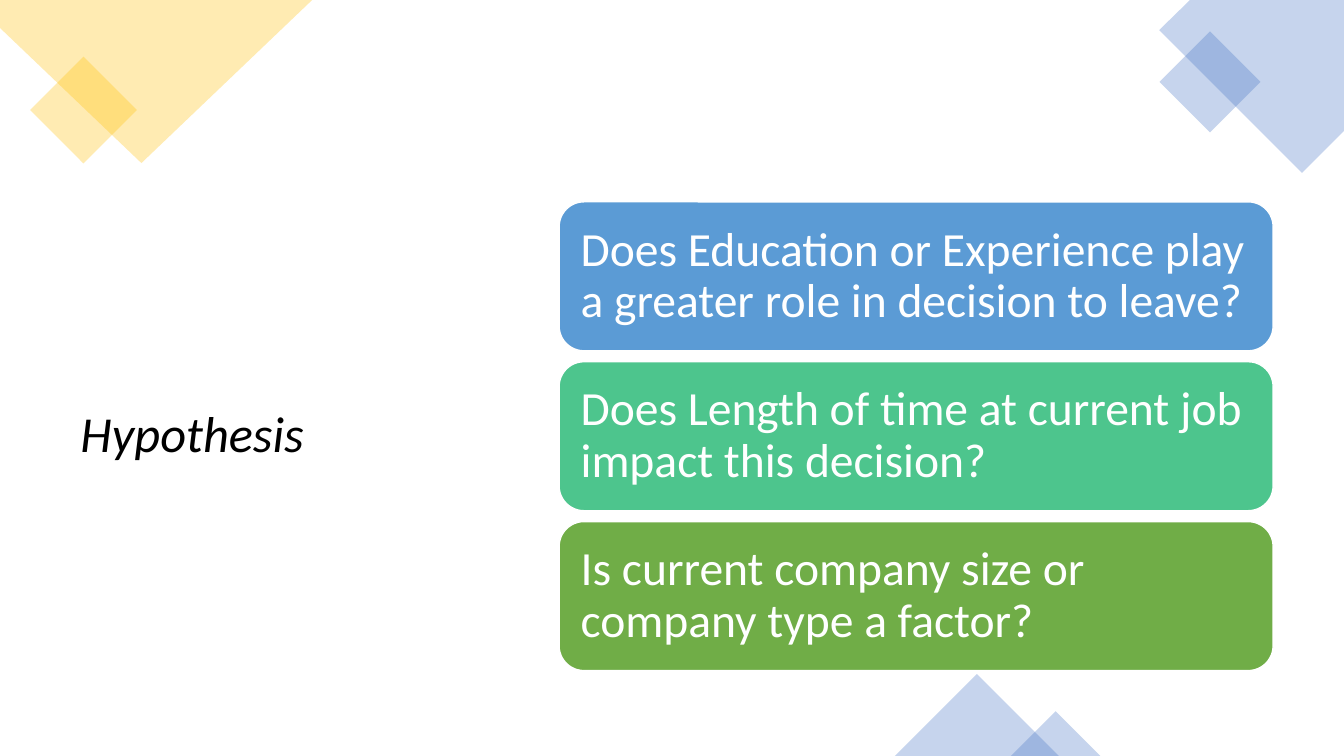
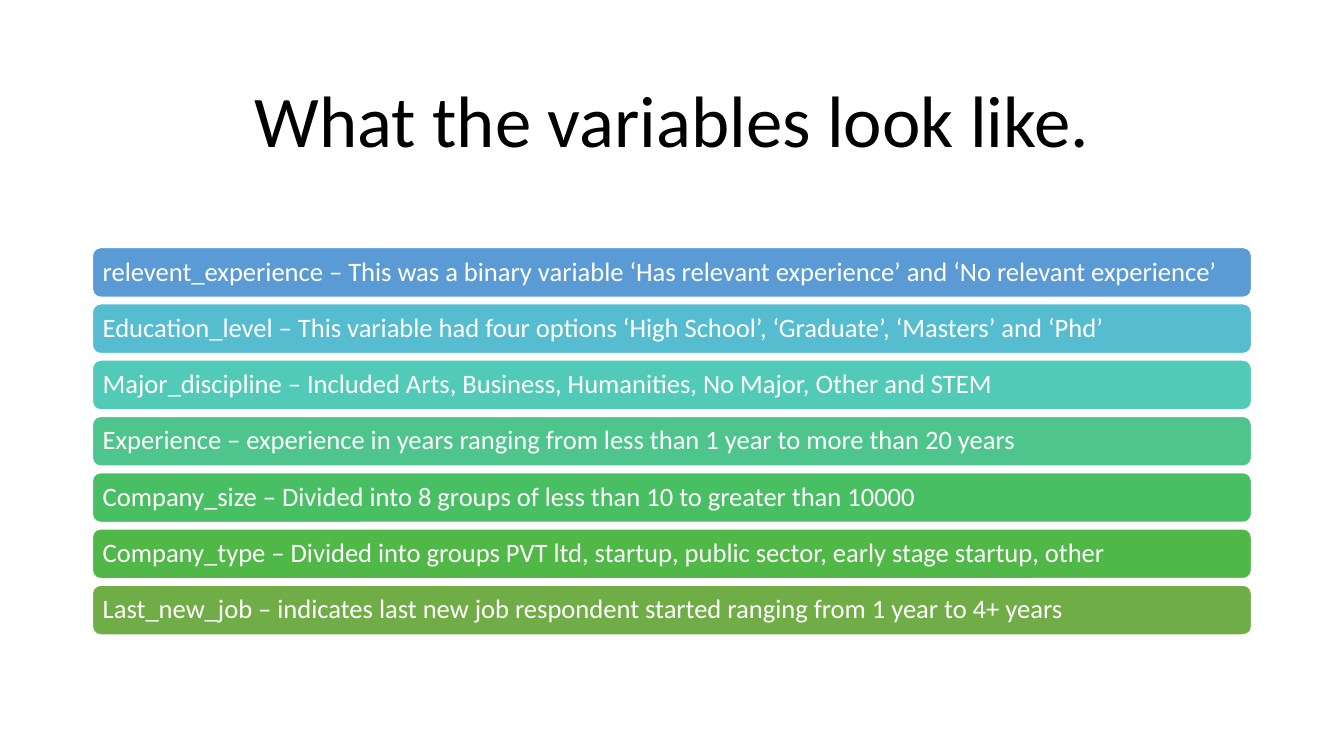
from dataclasses import dataclass

from lxml.etree import SubElement
from pptx import Presentation
from pptx.dml.color import RGBColor
from pptx.enum.shapes import MSO_SHAPE as Preset
from pptx.enum.text import MSO_ANCHOR as Anchor, PP_ALIGN as Align
from pptx.oxml.ns import qn
from pptx.util import Pt


@dataclass(frozen=True)
class Theme:
    font: str = "Calibri"
    ink: str = "000000"
    paper: str = "FFFFFF"
    gold: str = "FFC000"
    blue: str = "4472C4"
    scale: tuple = ("5B9BD5", "56BCD0", "52CAB8", "4DC58D", "49BF64", "50B846", "70AD47")
    decor_opacity: int = 30
    side_title: int = 36
    top_title: int = 52
    question: int = 34
    variable: int = 19


THEME = Theme()


def write(shape, text, *, size, color, align=Align.LEFT, italic=False, inset=None):
    frame = shape.text_frame
    frame.word_wrap = True
    frame.vertical_anchor = Anchor.MIDDLE
    if inset is not None:
        frame.margin_left = frame.margin_right = Pt(inset)
        frame.margin_top = frame.margin_bottom = Pt(inset)
    paragraph = frame.paragraphs[0]
    paragraph.alignment = align
    paragraph.line_spacing = 0.9
    run = paragraph.add_run()
    run.text = text
    run.font.name = THEME.font
    run.font.size = Pt(size)
    run.font.italic = italic
    run.font.color.rgb = RGBColor.from_string(color)


class Deck:
    def __init__(self, theme):
        self.theme = theme
        self.presentation = Presentation()
        self.presentation.slide_width = Pt(960)
        self.presentation.slide_height = Pt(540)
        self.slide = None

    def new_slide(self):
        self.slide = self.presentation.slides.add_slide(self.presentation.slide_layouts[6])

    def title(self, text, box, **style):
        holder = self.slide.shapes.add_textbox(*map(Pt, box))
        write(holder, text, color=self.theme.ink, **style)

    def tint(self, shape, color):
        shape.shadow.inherit = False
        shape.line.fill.background()
        shape.fill.solid()
        shape.fill.fore_color.rgb = RGBColor.from_string(color)
        rgb = shape.element.spPr.find(f"{qn('a:solidFill')}/{qn('a:srgbClr')}")
        SubElement(rgb, qn("a:alpha")).set("val", str(self.theme.decor_opacity * 1000))

    def decor(self, preset, box, color, rotation=0):
        shape = self.slide.shapes.add_shape(preset, *map(Pt, box))
        shape.rotation = rotation
        self.tint(shape, color)

    def corner(self, points, color):
        start, *others = [(Pt(x), Pt(y)) for x, y in points]
        outline = self.slide.shapes.build_freeform(*start)
        outline.add_line_segments(others, close=True)
        self.tint(outline.convert_to_shape(), color)

    def card(self, text, box, color, size):
        card = self.slide.shapes.add_shape(Preset.ROUNDED_RECTANGLE, *map(Pt, box))
        card.shadow.inherit = False
        card.fill.solid()
        card.fill.fore_color.rgb = RGBColor.from_string(color)
        card.line.color.rgb = RGBColor.from_string(self.theme.paper)
        card.line.width = Pt(1)
        write(card, text, size=size, color=self.theme.paper, inset=size * 0.3)

    def card_stack(self, texts, box, pitch, colors, size):
        left, top, width, height = box
        for row, (text, color) in enumerate(zip(texts, colors)):
            self.card(text, (left, top + row * pitch, width, height), color, size)

    def save(self):
        self.presentation.save("out.pptx")


def hypothesis(deck):
    theme = deck.theme
    deck.new_slide()
    deck.title("Hypothesis", (50.4, 134, 312, 355.6), size=theme.side_title, italic=True)
    deck.decor(Preset.RECTANGLE, (32.6, 51.6, 54, 54), theme.gold, rotation=45)
    deck.corner([(0, 0), (223, 0), (101, 116.5), (0, 20)], theme.gold)
    deck.corner([(850, 0), (960, 0), (960, 93.5), (930, 123.5), (828, 21.5)], theme.blue)
    deck.decor(Preset.RECTANGLE, (838.8, 33, 51, 51), theme.blue, rotation=45)
    deck.decor(Preset.ISOSCELES_TRIANGLE, (639.3, 481.5, 117, 58.5), theme.blue)
    deck.decor(Preset.ISOSCELES_TRIANGLE, (722, 508, 64, 32), theme.blue)
    questions = [
        "Does Education or Experience play a greater role in decision to leave?",
        "Does Length of time at current job impact this decision?",
        "Is current company size or company type a factor?",
    ]
    deck.card_stack(questions, (399.4, 144.2, 510, 106.4), 114.2, theme.scale[::3], theme.question)


def variables(deck):
    theme = deck.theme
    deck.new_slide()
    deck.title("What the variables look like.", (66, 44, 828, 89),
               size=theme.top_title, align=Align.CENTER)
    descriptions = [
        "relevent_experience – This was a binary variable ‘Has relevant experience’ and ‘No relevant experience’",
        "Education_level – This variable had four options ‘High School’, ‘Graduate’, ‘Masters’ and ‘Phd’",
        "Major_discipline – Included Arts, Business, Humanities, No Major, Other and STEM",
        "Experience – experience in years ranging from less than 1 year to more than 20 years",
        "Company_size – Divided into 8 groups of less than 10 to greater than 10000",
        "Company_type – Divided into groups PVT ltd, startup, public sector, early stage startup, other",
        "Last_new_job – indicates last new job respondent started ranging from 1 year to 4+ years",
    ]
    deck.card_stack(descriptions, (66, 176.8, 828, 35.6), 40.2, theme.scale, theme.variable)


def main():
    deck = Deck(THEME)
    hypothesis(deck)
    variables(deck)
    deck.save()


if __name__ == "__main__":
    main()
